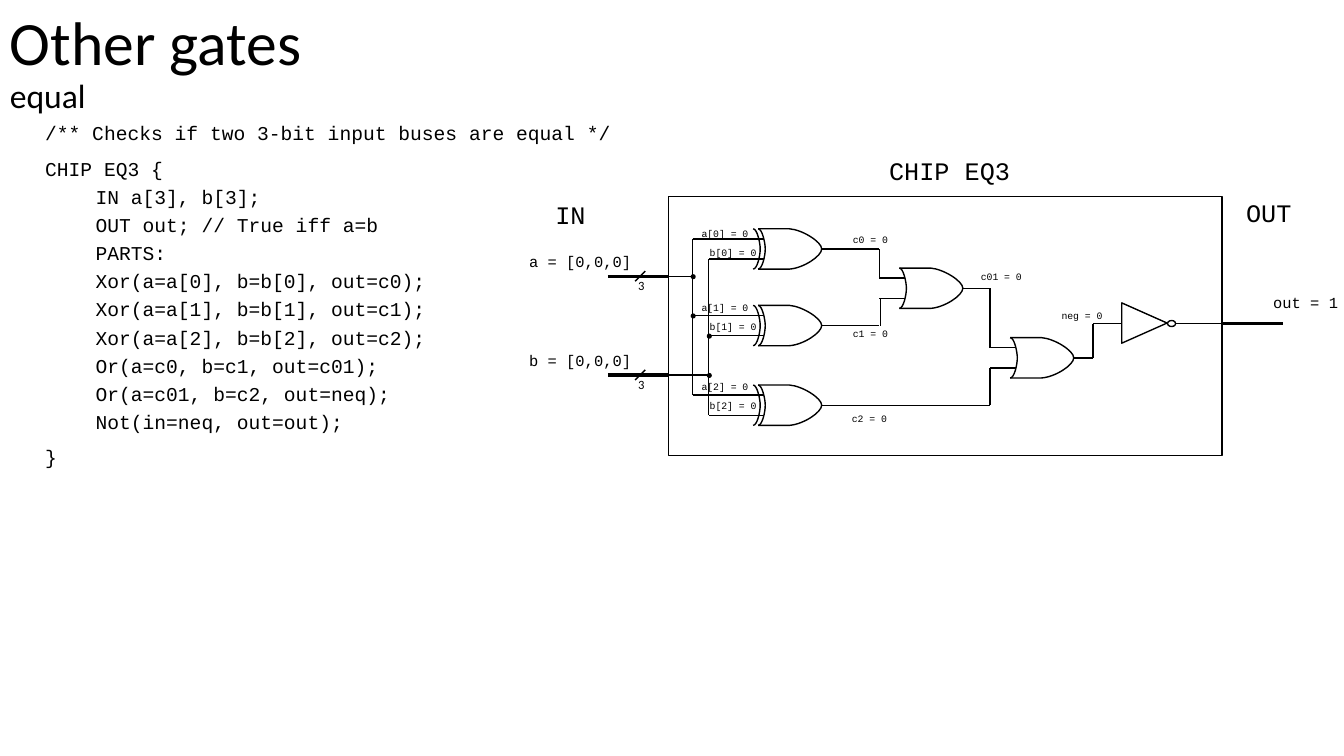
from lxml import etree
from pptx import Presentation
from pptx.dml.color import RGBColor
from pptx.enum.shapes import MSO_CONNECTOR, MSO_SHAPE
from pptx.enum.text import MSO_ANCHOR
from pptx.oxml.ns import qn
from pptx.util import Cm, Pt

STRAIGHT = MSO_CONNECTOR.STRAIGHT
RECTANGLE, OVAL = MSO_SHAPE.RECTANGLE, MSO_SHAPE.OVAL
TRIANGLE = MSO_SHAPE.ISOSCELES_TRIANGLE
MIDDLE, TOP = MSO_ANCHOR.MIDDLE, MSO_ANCHOR.TOP

COLOURS = {"ink": "000000", "paper": "FFFFFF"}
CODE, SANS = "Courier New", "Calibri"
THIN, THICK = 1, 2.25

# Content: positions below are in inches and turned into Cm by length()
TITLE = [("Other gates", 44), ("equal", 24)]
LISTING = [
    (0, "/** Checks if two 3-bit input buses are equal */"),
    (0, "CHIP EQ3 {"),
    (1, "IN a[3], b[3];"),
    (1, "OUT out; // True iff a=b"),
    (1, "PARTS:"),
    (1, "Xor(a=a[0], b=b[0], out=c0);"),
    (1, "Xor(a=a[1], b=b[1], out=c1);"),
    (1, "Xor(a=a[2], b=b[2], out=c2);"),
    (1, "Or(a=c0, b=c1, out=c01);"),
    (1, "Or(a=c01, b=c2, out=neq);"),
    (1, "Not(in=neq, out=out);"),
    (0, "}"),
]
HEADINGS = [("CHIP EQ3", 8.72, 1.49, 1.56), ("IN", 5.41, 1.93, 0.5),
            ("OUT", 12.26, 1.91, 0.65)]
PORTS = [("a = [0,0,0]", 5.15, 2.45, 1.48), ("b = [0,0,0]", 5.15, 3.43, 1.48),
         ("out = 1", 12.53, 2.86, 0.9)]
SIGNALS = [("c0 = 0", 8.36, 2.27), ("c1 = 0", 8.36, 3.2), ("c2 = 0", 8.35, 4.04),
           ("c01 = 0", 9.63, 2.64), ("neg = 0", 10.43, 3.02)]
BIT_LABEL_TOPS = [2.21, 2.94, 3.73]

# Circuit geometry
CHIP = (6.63, 1.95, 5.49, 2.57)
CHIP_LEFT, CHIP_RIGHT = 6.63, 12.12
BUS_A, BUS_B = 6.87, 7.03
INPUT_A, INPUT_B, OUTPUT = 2.74, 3.72, 3.21
PIN = 0.1                                  # input offset from a gate's axis
GATE_WIDTH, BACK_BULGE = 0.63, 0.06
XOR_LEFT, XOR_AXES = 7.52, [2.47, 3.23, 4.02]
XOR_ENDS = [8.32, 8.32, 9.82]
OR_GATES = [(8.92, 2.86, 8.72, 9.82), (10.02, 3.55, 9.82, 10.84)]
# Outlines: L takes one point, C takes two control points and an end
BODY = ("LCCL", [(0, -0.2), (0.31, -0.2), (0.44, -0.19), (0.63, -0.07), (0.63, 0),
                 (0.63, 0.07), (0.45, 0.19), (0.31, 0.2), (0, 0.2)])
BACK = ("CC", [(0, 0.2), (0.04, 0.2), (0.07, 0.07), (0.07, 0),
               (0.07, -0.06), (0.04, -0.2), (0, -0.2)])
VERTICALS = [(BUS_A, 2.37, 3.92), (BUS_B, 2.57, 4.12), (8.72, 2.47, 2.76),
             (8.73, 2.96, 3.23), (9.82, 2.86, 3.45), (9.82, 3.65, 4.02),
             (10.84, 3.21, 3.55)]
JUNCTIONS = [(BUS_A, INPUT_A), (BUS_A, 3.13), (BUS_B, INPUT_B), (BUS_B, 3.33)]


def length(inches):
    return Cm(round(inches * 2.54, 3))


def colour(name):
    return RGBColor.from_string(COLOURS[name])


def add_text(text, left, top, width=0.68, height=0.22, size=7, font=CODE,
             wrap=True, anchor=TOP, spacing=None):
    """Text is a string, or a list of (text, size, level, space before)."""
    rows = [(text, size, 0, 0)] if isinstance(text, str) else text
    box = page.shapes.add_textbox(*map(length, (left, top, width, height)))
    frame = box.text_frame
    frame.word_wrap, frame.vertical_anchor = wrap, anchor
    for number, (words, points, level, before) in enumerate(rows):
        para = frame.add_paragraph() if number else frame.paragraphs[0]
        if level:
            para.level = level
            para._p.get_or_add_pPr().set("marL", str(length(0.5 * level)))
        if spacing:
            para.line_spacing = spacing
        para.space_before = Pt(before)
        span = para.add_run()
        span.text = words
        span.font.name, span.font.size = font, Pt(points)
        span.font.color.rgb = colour("ink")


def add_wire(x1, y1, x2, y2, weight=THIN):
    wire = page.shapes.add_connector(STRAIGHT, *map(length, (x1, y1, x2, y2)))
    wire.line.color.rgb, wire.line.width = colour("ink"), Pt(weight)
    etree.SubElement(wire._element.spPr, qn("a:effectLst"))


def style(shape, fill=None, outline=True):
    shape.shadow.inherit = False
    if fill:
        shape.fill.solid()
        shape.fill.fore_color.rgb = colour(fill)
    else:
        shape.fill.background()
    if outline:
        shape.line.color.rgb, shape.line.width = colour("ink"), Pt(THIN)
    else:
        shape.line.fill.background()


def add_preset(kind, left, top, width, height, rotation=0, **look):
    shape = page.shapes.add_shape(kind, *map(length, (left, top, width, height)))
    shape.rotation = rotation
    style(shape, **look)


def add_outline(outline, left, axis):
    kinds, points = outline
    spots = [(length(left + x), length(axis + y)) for x, y in points]
    builder = page.shapes.build_freeform(*spots[0])
    builder.add_line_segments(spots[1:], close=False)
    shape = builder.convert_to_shape()
    # Join each run of three segments marked C into one cubic curve
    segments = iter(list(shape._element.iter(qn("a:lnTo"))))
    for kind in kinds:
        segment = next(segments)
        if kind == "C":
            bend = etree.Element(qn("a:cubicBezTo"))
            segment.addprevious(bend)
            for part in (segment, next(segments), next(segments)):
                bend.append(part[0])
                part.getparent().remove(part)
    style(shape)


def add_gate(left, axis, start_a, start_b, end, exclusive=False):
    add_wire(start_a, axis - PIN, left + BACK_BULGE, axis - PIN)
    add_wire(start_b, axis + PIN, left + BACK_BULGE, axis + PIN)
    add_wire(left + GATE_WIDTH, axis, end, axis)
    add_outline(BODY, left, axis)
    add_outline(BACK, left, axis)
    if exclusive:
        add_outline(BACK, left - 0.05, axis)


deck = Presentation()
deck.slide_width, deck.slide_height = length(13.33), length(7.5)
page = deck.slides.add_slide(deck.slide_layouts[6])

# Title and program listing
add_text([(words, size, 0, 0) for words, size in TITLE], 0, -0.09, 13.33, 1.45,
         font=SANS, anchor=MIDDLE, spacing=0.9)
add_preset(RECTANGLE, *CHIP, fill="paper")
add_text([(words, 14, level, (5 if level else 10) if number else 0)
          for number, (level, words) in enumerate(LISTING)],
         0.35, 1.18, 5.93, 4.76, spacing=0.9)

# Input buses with width marks, and the output
for axis, bus in ((INPUT_A, BUS_A), (INPUT_B, BUS_B)):
    add_wire(CHIP_LEFT - 0.6, axis, CHIP_LEFT, axis, THICK)
    add_wire(CHIP_LEFT, axis, bus, axis)
    add_wire(6.3, axis + 0.05, 6.4, axis - 0.05)
    add_text("3", 6.23, axis - 0.03, 0.36, 0.25, size=9, font=SANS)
add_wire(CHIP_RIGHT, OUTPUT, CHIP_RIGHT + 0.6, OUTPUT, THICK)

# Gates
for axis, end in zip(XOR_AXES, XOR_ENDS):
    add_gate(XOR_LEFT, axis, BUS_A, BUS_B, end, exclusive=True)
for left, axis, start, end in OR_GATES:
    add_gate(left, axis, start, start, end)
add_wire(10.84, OUTPUT, 11.13, OUTPUT)
add_wire(11.66, OUTPUT, CHIP_RIGHT, OUTPUT)
add_preset(OVAL, 11.58, OUTPUT - 0.03, 0.08, 0.06)
add_preset(TRIANGLE, 11.15, 2.98, 0.4, 0.45, rotation=90)

# Wires between gates and junction dots
for axis in XOR_AXES[:2]:
    add_wire(8.24, axis, 8.72, axis)
for x, top, bottom in VERTICALS:
    add_wire(x, top, x, bottom)
for x, y in JUNCTIONS:
    add_preset(OVAL, x - 0.02, y - 0.02, 0.05, 0.05, fill="ink", outline=False)

# Labels
for words, left, top, width in HEADINGS:
    add_text(words, left, top, width, 0.4, size=18, wrap=False)
for words, left, top, width in PORTS:
    add_text(words, left, top, width, 0.29, size=11)
for words, left, top in SIGNALS:
    add_text(words, left, top)
for bit, top in enumerate(BIT_LABEL_TOPS):
    add_text(f"a[{bit}] = 0", 6.86, top)
    add_text(f"b[{bit}] = 0", 6.94, top + 0.19)

deck.save("out.pptx")
